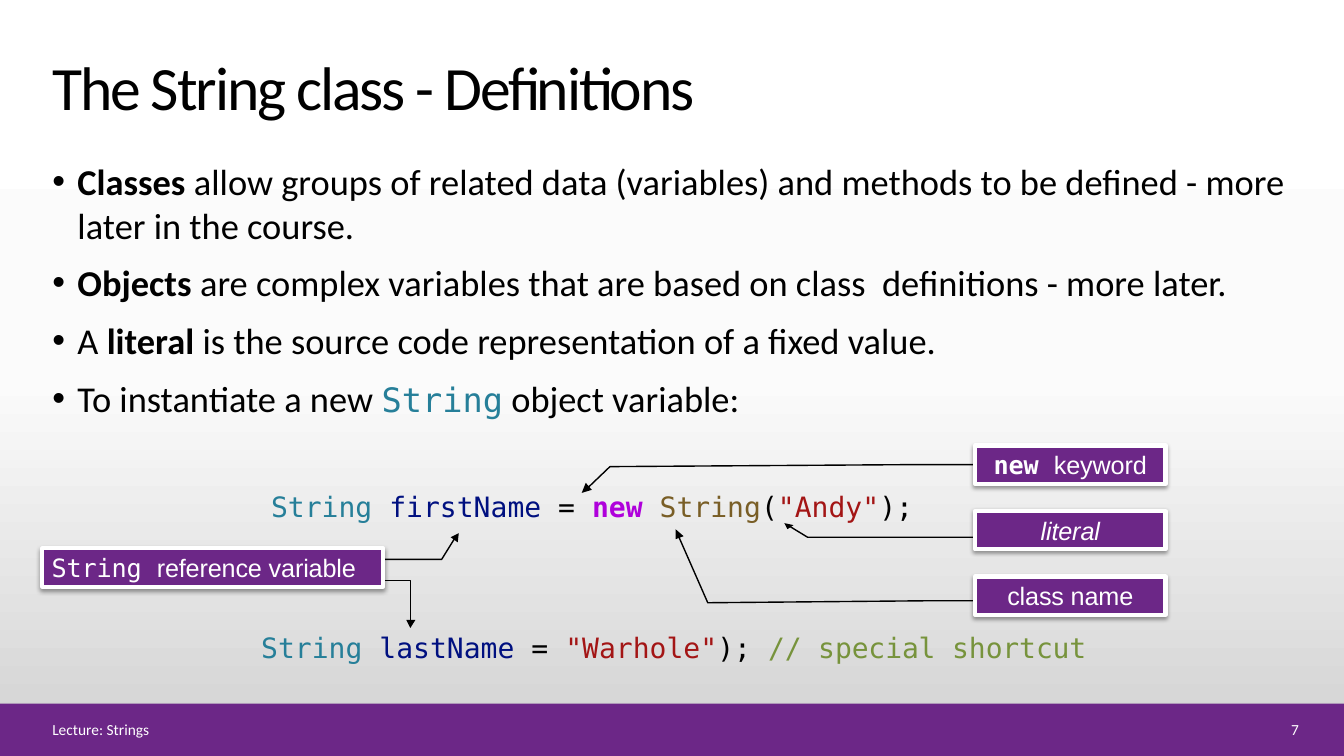
from copy import deepcopy

from pptx import Presentation
from pptx.dml.color import RGBColor as Rgb
from pptx.enum.shapes import MSO_SHAPE as Form
from pptx.enum.text import MSO_ANCHOR as Anchor, PP_ALIGN as Align
from pptx.oxml import parse_xml
from pptx.oxml.ns import nsdecls, qn
from pptx.util import Inches, Pt

HUES = {
    "black": "000000", "white": "FFFFFF", "purple": "6C2787",
    "type": "267F99", "name": "001080", "text": "A31515",
    "key": "AF00DB", "call": "795E26", "note": "77933C",
    "mid": "FBFBFB", "low": "D1D1D1",
}
SANS, MONO, ARIAL = "Calibri", "DejaVu Sans Mono", "Arial"


def hue(name):
    return Rgb.from_string(HUES[name])


def run(text, color="black", font=SANS, size=26, bold=False, ital=False, gap=0):
    return text, color, font, size, bold, ital, gap


def code(text, color="black", **more):
    return run(text, color, MONO, 20, **more)


def tag(text, font=ARIAL, **more):
    return run(text, "white", font, 18, gap=-0.1, **more)


class Deck:
    def __init__(self):
        self.prs = Presentation()
        self.prs.slide_width, self.prs.slide_height = Inches(13.33), Inches(7.5)
        self.slide = self.prs.slides.add_slide(self.prs.slide_layouts[6])
        self.shapes = self.slide.shapes

    def back(self, *names):
        fill = self.slide.background.fill
        fill.gradient()
        fill.gradient_angle = 270
        stops = self.slide.element.find(".//" + qn("a:gsLst"))
        stops.append(deepcopy(stops[-1]))
        for i, (stop, name) in enumerate(zip(fill.gradient_stops, names)):
            stop.color.rgb = hue(name)
            stop.position = i / (len(names) - 1)

    def add_runs(self, para, runs):
        for text, color, font, size, bold, ital, gap in runs:
            part = para.add_run()
            part.text = text
            face = part.font
            face.name, face.size, face.bold, face.italic = font, Pt(size), bold, ital
            face.color.rgb = hue(color)
            if gap:
                part._r.get_or_add_rPr().set("spc", str(round(gap * 100)))

    def frame(self, shape, pads=(0.1, 0.05, 0.1, 0.05), anchor=Anchor.TOP):
        box = shape.text_frame
        box.word_wrap = True
        box.vertical_anchor = anchor
        (box.margin_left, box.margin_top,
         box.margin_right, box.margin_bottom) = map(Inches, pads)
        return box

    def text(self, at, runs, align=Align.LEFT, **more):
        box = self.frame(self.shapes.add_textbox(*map(Inches, at)), **more)
        box.paragraphs[0].alignment = align
        self.add_runs(box.paragraphs[0], runs)

    def points(self, at, items):
        box = self.frame(self.shapes.add_textbox(*map(Inches, at)))
        for i, runs in enumerate(items):
            para = box.add_paragraph() if i else box.paragraphs[0]
            para.space_before = Pt(10)
            props = para._p.get_or_add_pPr()
            props.set("marL", str(Inches(0.25)))
            props.set("indent", str(Inches(-0.25)))
            props.append(parse_xml(f'<a:buFont {nsdecls("a")} typeface="Arial"/>'))
            props.append(parse_xml(f'<a:buChar {nsdecls("a")} char="•"/>'))
            self.add_runs(para, runs)

    def rect(self, at, color):
        shape = self.shapes.add_shape(Form.RECTANGLE, *map(Inches, at))
        shape.shadow.inherit = False
        shape.fill.solid()
        shape.fill.fore_color.rgb = hue(color)
        shape.line.fill.background()
        return shape

    def label(self, at, runs, right=0.04):
        shape = self.rect(at, "purple")
        shape.line.color.rgb = hue("white")
        shape.line.width = Pt(3)
        shade = shape.element.spPr.find(qn("a:effectLst"))
        shade.append(parse_xml(
            f'<a:outerShdw {nsdecls("a")} blurRad="{Pt(3.1)}" dist="{Pt(1.6)}" '
            f'dir="5400000" rotWithShape="0"><a:srgbClr val="{HUES["black"]}">'
            '<a:alpha val="38000"/></a:srgbClr></a:outerShdw>'))
        box = self.frame(shape, (0.04, 0.04, right, 0.04))
        box.paragraphs[0].alignment = Align.CENTER
        self.add_runs(box.paragraphs[0], runs)

    def trace(self, spots, close):
        first, *rest = [(Inches(x), Inches(y)) for x, y in spots]
        pen = self.shapes.build_freeform(*first, scale=1.0)
        pen.add_line_segments(rest, close=close)
        shape = pen.convert_to_shape()
        shape.shadow.inherit = False
        return shape

    def arrow(self, route, head):
        line = self.trace(route, False)
        line.fill.background()
        line.line.color.rgb = hue("black")
        line.line.width = Pt(1)
        tip = self.trace(head, True)
        tip.fill.solid()
        tip.fill.fore_color.rgb = hue("black")
        tip.line.fill.background()
        self.shapes.add_group_shape([line, tip])


def main():
    deck = Deck()
    deck.back("white", "mid", "low")

    # Footer
    deck.rect((0, 6.98, 13.33, 0.52), "purple")
    deck.text((0.42, 7.12, 11.65, 0.23),
              [run("Lecture: Strings", "white", size=11)], anchor=Anchor.MIDDLE)
    deck.text((12.23, 7.12, 0.75, 0.23), [run("7", "white", size=11)],
              Align.RIGHT, anchor=Anchor.MIDDLE)

    # Title and bullets
    deck.text((0.42, 0.4, 10.4, 0.87),
              [run("The String class - Definitions", size=44, gap=-1.5)],
              anchor=Anchor.BOTTOM)
    deck.points((0.42, 1.53, 12.55, 2.76), [
        [run("Classes", bold=True),
         run(" allow groups of related data (variables) and methods to be "
             "defined - more later in the course.")],
        [run("Objects", bold=True),
         run(" are complex variables that are based on class  definitions "
             "- more later.")],
        [run("A "), run("literal", bold=True),
         run(" is the source code representation of a fixed value.")],
        [run("To instantiate a new "), run("String", "type", MONO, 24),
         run(" object variable:")],
    ])

    # Code lines
    deck.text((2.59, 4.81, 6.67, 0.44), [
        code("String ", "type"), code("firstName", "name"), code(" = "),
        code("new ", "key", bold=True), code("String", "call"), code("("),
        code('"Andy"', "text"), code(");")])
    deck.text((2.59, 6.24, 8.38, 0.35), [
        code("String ", "type"), code("lastName", "name"), code(" = "),
        code('"Warhole"', "text"), code("); "),
        code("// special shortcut", "note", gap=-0.1)], pads=(0, 0.01, 0, 0))

    # Arrows from labels to code
    for route, head in [
        ([(5.83, 4.84), (6.05, 4.63), (9.02, 4.61), (9.78, 4.61)],
         [(5.81, 4.79), (5.77, 4.89), (5.87, 4.86)]),
        ([(6.73, 5.32), (7.02, 5.98), (9.26, 5.96), (10.01, 5.96)],
         [(6.7, 5.25), (6.7, 5.35), (6.78, 5.32)]),
        ([(4.51, 5.34), (4.38, 5.55), (3.97, 5.55), (3.79, 5.55)],
         [(4.55, 5.29), (4.47, 5.33), (4.54, 5.38)]),
        ([(7.83, 5.22), (8.01, 5.33), (9.32, 5.33), (10.01, 5.33)],
         [(7.78, 5.19), (7.81, 5.25), (7.87, 5.21)]),
        ([(3.8, 5.76), (4.07, 5.76), (4.07, 6.16)],
         [(4.12, 6.15), (4.03, 6.15), (4.07, 6.23)]),
    ]:
        deck.arrow(route, head)

    # Labels
    for i, runs in enumerate([
        [tag("new ", MONO, bold=True), tag("keyword")],
        [tag("literal", ital=True)],
        [tag("class "), tag("name")],
    ]):
        deck.label((9.67, 4.42 + 0.65 * i, 1.89, 0.38), runs)
    deck.label((0.42, 5.44, 3.38, 0.38),
               [tag("String ", MONO), tag("reference variable")], right=0.22)

    deck.prs.save("out.pptx")


if __name__ == "__main__":
    main()
